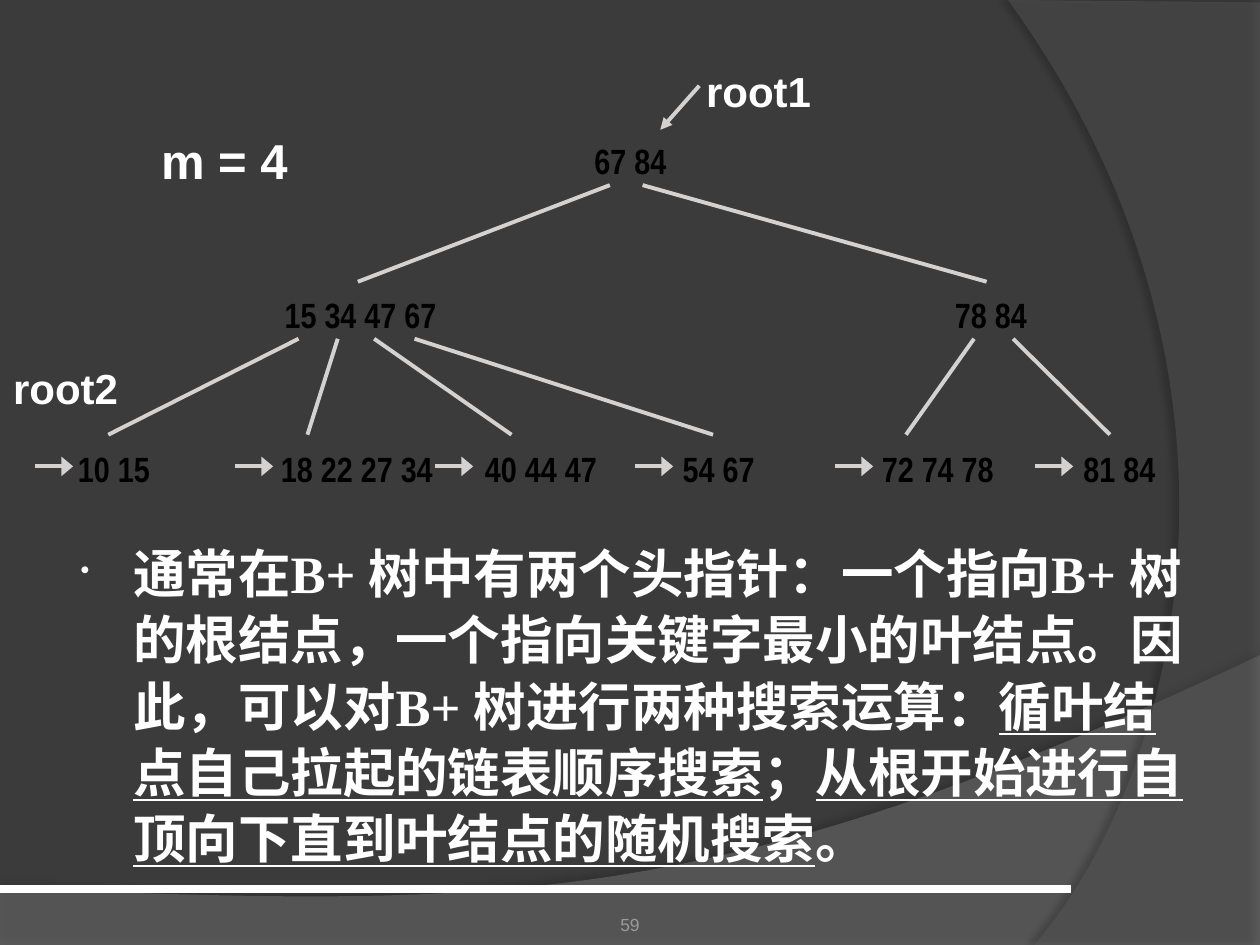
from lxml.etree import SubElement
from pptx import Presentation
from pptx.dml.color import RGBColor
from pptx.enum.shapes import MSO_CONNECTOR
from pptx.enum.text import MSO_ANCHOR, PP_ALIGN
from pptx.oxml.ns import qn
from pptx.util import Pt

COLORS = {
    "background": "3B3B3B", "wave": "7F7F7F", "arc": "5E5E5E", "shadow": "000000",
    "text": "FFFFFF", "key": "000000", "edge": "D4D2D0", "number": "9D9B9A",
}
CJK_FONT = "Noto Sans CJK SC"
LEAF_TOP = 252
# Keys, left and top of each node
NODES = [
    ("67 84", 332.6, 76.3),
    ("15 34 47 67", 155.5, 164.2),
    ("78 84", 538.6, 164.2),
    ("10 15", 37.4, LEAF_TOP),
    ("18 22 27 34", 153.4, LEAF_TOP),
    ("40 44 47", 270, LEAF_TOP),
    ("54 67", 383, LEAF_TOP),
    ("72 74 78", 496.8, LEAF_TOP),
    ("81 84", 612, LEAF_TOP),
]
# Parent bottom, child top, then the x positions at both ends
EDGE_LEVELS = [
    (105.8, 161, [(348.5, 204.5), (367.2, 563.8)]),
    (193.6, 248.4, [(170.6, 61.9), (193, 175.7), (213.8, 292.3),
                    (236.9, 407.5), (556.6, 517.7), (578.9, 634.3)]),
]
# Text, Latin font, underline
BODY_RUNS = [
    ("通常在B+ 树中有两个头指针：一个指向B+ 树的根结点，一个指向关键字最小的叶结点。"
     "因此，可以对B+ ", "Times New Roman", False),
    ("树进行两种搜索运算：", CJK_FONT, False),
    ("循叶结点自己拉起的链表顺序搜索", CJK_FONT, True),
    ("；", CJK_FONT, False),
    ("从根开始进行自顶向下直到叶结点的随机搜索", CJK_FONT, True),
    ("。", CJK_FONT, False),
]


def color(name):
    return RGBColor.from_string(COLORS[name])


def bezier(start, control1, control2, end, steps=60):
    """Return points along a cubic curve, both ends included."""
    points = []
    for step in range(steps + 1):
        t = step / steps
        weights = ((1 - t) ** 3, 3 * t * (1 - t) ** 2, 3 * t * t * (1 - t), t ** 3)
        points.append(tuple(sum(weight * point[axis] for weight, point in
                                zip(weights, (start, control1, control2, end)))
                            for axis in (0, 1)))
    return points


def add_panel(slide, points, fill, opacity, shadow_opacity, blur, distance, direction):
    """Add a translucent outline with a soft shadow."""
    corners = [(Pt(x), Pt(y)) for x, y in points]
    builder = slide.shapes.build_freeform(*corners[0])
    builder.add_line_segments(corners[1:], close=True)
    shape = builder.convert_to_shape()
    shape.line.fill.background()
    shape.fill.solid()
    shape.fill.fore_color.rgb = color(fill)
    properties = shape._element.spPr
    fill_color = properties.find(qn("a:solidFill"))[0]
    SubElement(fill_color, qn("a:alpha"), val=str(opacity * 1000))
    effects = SubElement(properties, qn("a:effectLst"))
    shadow = SubElement(effects, qn("a:outerShdw"), blurRad=str(Pt(blur)),
                        dist=str(Pt(distance)), dir=str(direction * 60000),
                        algn="ctr", rotWithShape="0")
    shadow_color = SubElement(shadow, qn("a:srgbClr"), val=COLORS["shadow"])
    SubElement(shadow_color, qn("a:alpha"), val=str(shadow_opacity * 1000))


def add_line(slide, start, end, line_color="edge", width=2.25, head_width=None):
    connector = slide.shapes.add_connector(
        MSO_CONNECTOR.STRAIGHT, *(Pt(value) for value in (*start, *end)))
    connector.line.color.rgb = color(line_color)
    connector.line.width = Pt(width)
    if head_width:
        SubElement(connector.line._get_or_add_ln(), qn("a:tailEnd"),
                   type="triangle", w=head_width, len="med")
    SubElement(connector._element.spPr, qn("a:effectLst"))


def add_text(slide, text, box, size, font="Arial", text_color="text", bold=True,
             align=PP_ALIGN.LEFT, wrap=True):
    shape = slide.shapes.add_textbox(*(Pt(value) for value in box))
    frame = shape.text_frame
    frame.text = text
    frame.word_wrap = wrap
    paragraph = frame.paragraphs[0]
    paragraph.alignment = align
    for run in paragraph.runs:
        run.font.size = Pt(size)
        run.font.name = font
        run.font.bold = bold
        run.font.color.rgb = color(text_color)
    return frame


def add_body(slide):
    """Add the bulleted explanation with underlined phrases."""
    frame = slide.shapes.add_textbox(Pt(36), Pt(304), Pt(648), Pt(209.5)).text_frame
    frame.word_wrap = True
    paragraph = frame.paragraphs[0]
    paragraph.line_spacing = 1.05
    properties = paragraph._p.get_or_add_pPr()
    properties.set("marL", str(Pt(33)))
    properties.set("indent", str(Pt(-30)))
    SubElement(properties, qn("a:buSzPct"), val="50000")
    SubElement(properties, qn("a:buChar"), char="•")
    for text, font, underline in BODY_RUNS:
        run = paragraph.add_run()
        run.text = text
        run.font.size = Pt(30)
        run.font.bold = True
        run.font.underline = underline
        run.font.color.rgb = color("text")
        run.font.name = font
        SubElement(run._r.get_or_add_rPr(), qn("a:ea"), typeface=CJK_FONT)


def add_backdrop(slide):
    slide.background.fill.solid()
    slide.background.fill.fore_color.rgb = color("background")
    wave = bezier((720, 374.4), (402.5, 525), (281.5, 517.7), (0, 507.6))
    add_panel(slide, wave + [(0, 540), (720, 540)], "wave", 45, 35, 4, 3.5, 270)
    arc = bezier((591, 540), (673, 445.7), (733, 216), (576, 0))
    add_panel(slide, arc + [(720, 1.4), (720, 540)], "arc", 40, 45, 4, 4, 180)
    add_line(slide, (0, 508), (612, 508), "text", 4.5)


def add_tree(slide):
    for keys, left, top in NODES:
        add_text(slide, keys, (left, top, 110, 47), 20, "Arial Narrow", "key")
    for top, bottom, ends in EDGE_LEVELS:
        for parent_x, child_x in ends:
            add_line(slide, (parent_x, top), (child_x, bottom))
    for index in range(6):
        left = 20.2 + 114.3 * index
        add_line(slide, (left, 266.5), (left + 21.6, 266.5), head_width="lg")


def main():
    presentation = Presentation()
    presentation.slide_width, presentation.slide_height = Pt(720), Pt(540)
    slide = presentation.slides.add_slide(presentation.slide_layouts[6])
    add_backdrop(slide)
    number = add_text(slide, "59", (246, 505.4, 228, 28.8), 10, text_color="number",
                      bold=False, align=PP_ALIGN.CENTER)
    number.vertical_anchor = MSO_ANCHOR.BOTTOM
    number.margin_left = number.margin_right = number.margin_bottom = 0
    add_body(slide)
    add_text(slide, "m = 4", (85, 71.3, 117.4, 50.4), 28)
    add_tree(slide)
    add_line(slide, (399.6, 49), (377.3, 74.2), head_width="med")
    for label, left, top in [("root1", 396, 33.8), ("root2", 0, 203.8)]:
        add_text(slide, label, (left, top, 75, 36), 24, align=PP_ALIGN.CENTER, wrap=False)
    presentation.save("out.pptx")


if __name__ == "__main__":
    main()
